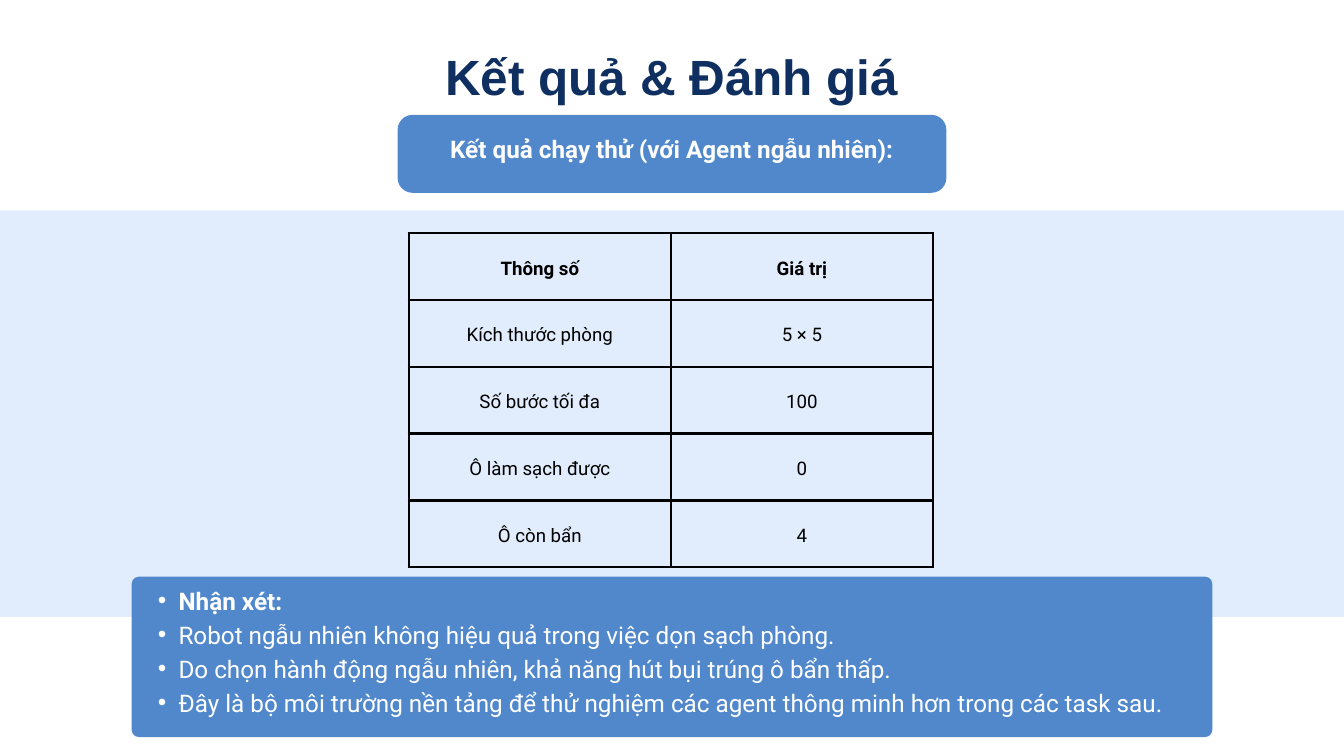
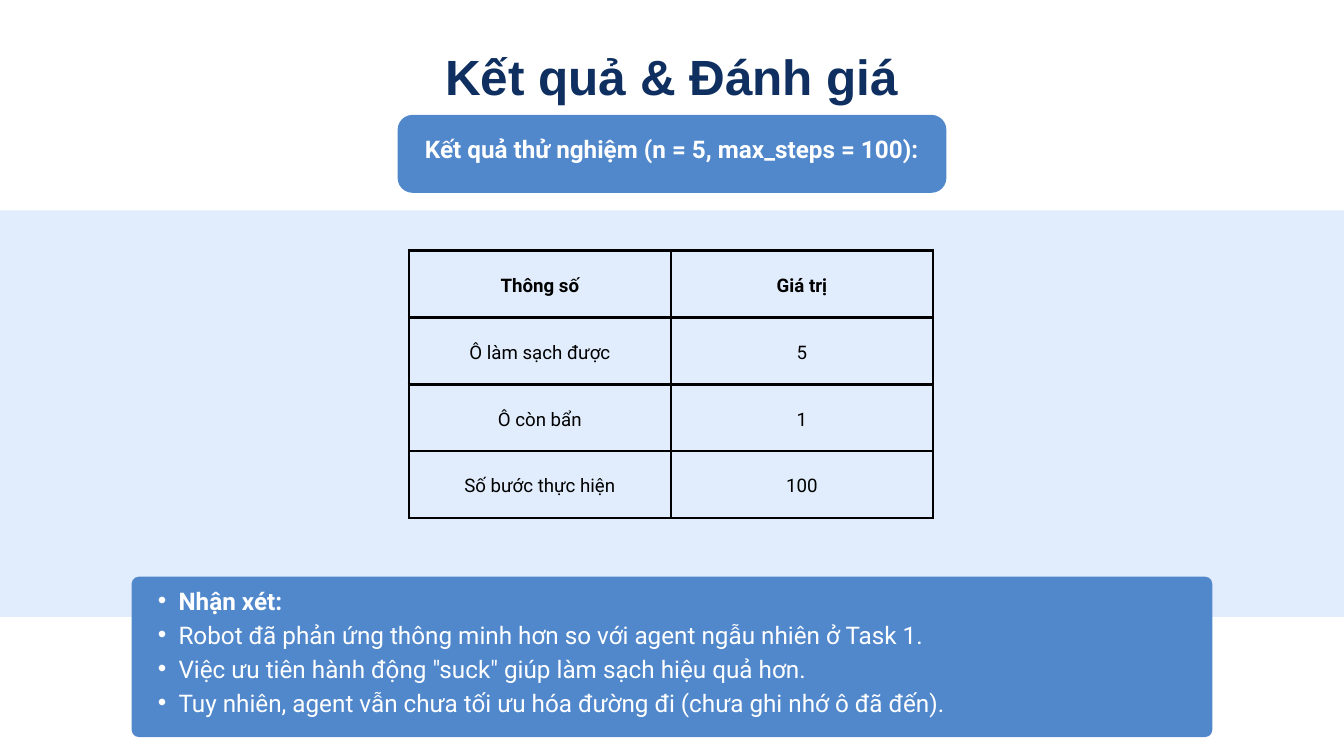
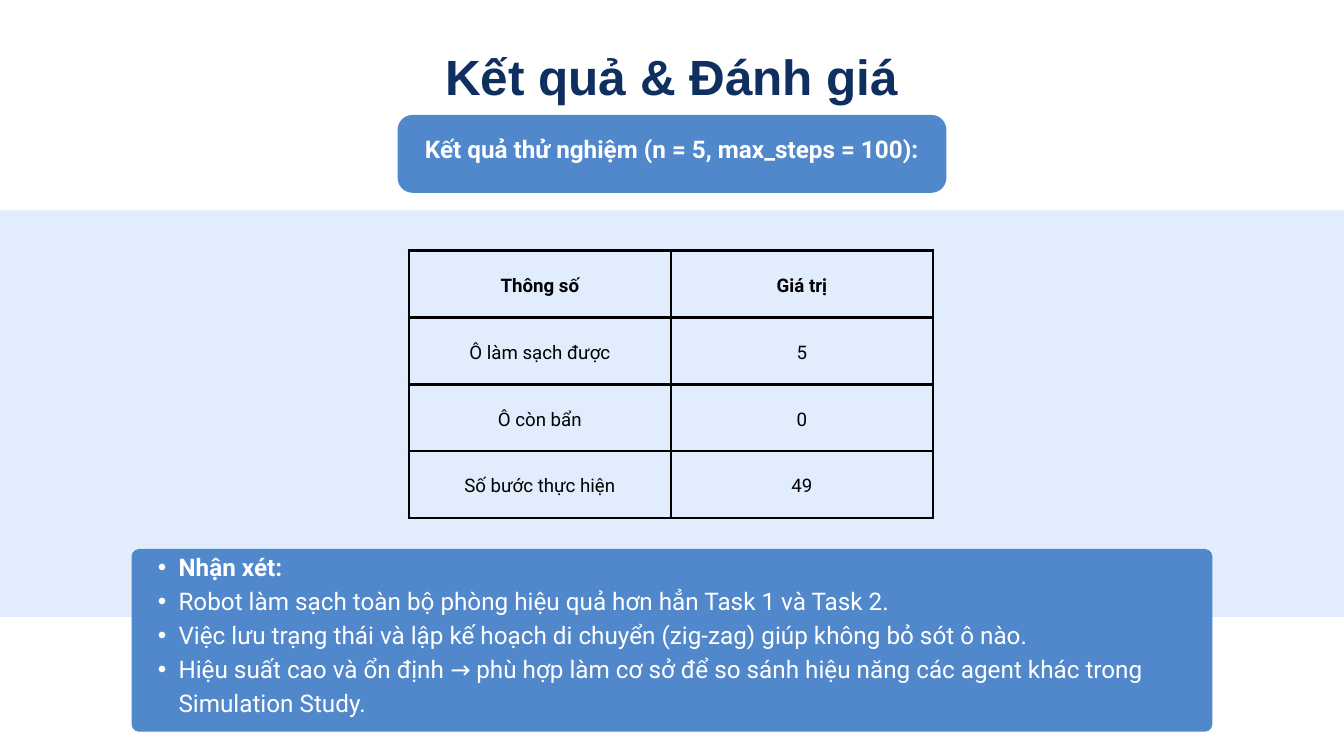
from lxml import etree
from pptx import Presentation
from pptx.dml.color import RGBColor
from pptx.enum.shapes import MSO_SHAPE
from pptx.enum.text import MSO_ANCHOR, MSO_AUTO_SIZE, PP_ALIGN
from pptx.oxml.ns import qn
from pptx.util import Pt

RECTANGLE = MSO_SHAPE.RECTANGLE
ROUNDED = MSO_SHAPE.ROUNDED_RECTANGLE
MIDDLE = MSO_ANCHOR.MIDDLE
TOP = MSO_ANCHOR.TOP
NO_AUTOFIT = MSO_AUTO_SIZE.NONE
CENTER = PP_ALIGN.CENTER
LEFT = PP_ALIGN.LEFT

NAVY = RGBColor(0x0E, 0x2F, 0x5F)
BLUE = RGBColor(0x51, 0x88, 0xCC)
PALE = RGBColor(0xE1, 0xED, 0xFC)
WHITE = RGBColor(0xFF, 0xFF, 0xFF)
BLACK = RGBColor(0, 0, 0)

SLIDE_WIDTH = 1440
TITLE = "Kết quả & Đánh giá"
HEADER = ("Thông số", "Giá trị")
ROW_HEIGHT = 71.6
COLUMN_WIDTH = 280.8
CELL_MARGIN = Pt(15)
BORDER_WIDTH = Pt(3)

RESULTS = [
    {
        "heading": "Kết quả chạy thử (với Agent ngẫu nhiên):",
        "table_top": 249.8,
        "rows": [("Kích thước phòng", "5 × 5"), ("Số bước tối đa", "100"),
                 ("Ô làm sạch được", "0"), ("Ô còn bẩn", "4")],
        "remarks_top": 617.8,
        "remarks_height": 172,
        "remarks": [
            "Robot ngẫu nhiên không hiệu quả trong việc dọn sạch phòng.",
            "Do chọn hành động ngẫu nhiên, khả năng hút bụi trúng ô bẩn thấp.",
            "Đây là bộ môi trường nền tảng để thử nghiệm các agent thông minh hơn trong các task sau.",
        ],
    },
    {
        "heading": "Kết quả thử nghiệm (n = 5, max_steps = 100):",
        "table_top": 268.6,
        "rows": [("Ô làm sạch được", "5"), ("Ô còn bẩn", "1"), ("Số bước thực hiện", "100")],
        "remarks_top": 617.8,
        "remarks_height": 172,
        "remarks": [
            "Robot đã phản ứng thông minh hơn so với agent ngẫu nhiên ở Task 1.",
            "Việc ưu tiên hành động \"suck\" giúp làm sạch hiệu quả hơn.",
            "Tuy nhiên, agent vẫn chưa tối ưu hóa đường đi (chưa ghi nhớ ô đã đến).",
        ],
    },
    {
        "heading": "Kết quả thử nghiệm (n = 5, max_steps = 100):",
        "table_top": 268.6,
        "rows": [("Ô làm sạch được", "5"), ("Ô còn bẩn", "0"), ("Số bước thực hiện", "49")],
        "remarks_top": 588.2,
        "remarks_height": 195.8,
        "remarks": [
            "Robot làm sạch toàn bộ phòng hiệu quả hơn hẳn Task 1 và Task 2.",
            "Việc lưu trạng thái và lập kế hoạch di chuyển (zig-zag) giúp không bỏ sót ô nào.",
            "Hiệu suất cao và ổn định → phù hợp làm cơ sở để so sánh hiệu năng các agent khác trong Simulation Study.",
        ],
    },
]


def add_panel(slide, kind, top, width, height, color, radius=0):
    panel = slide.shapes.add_shape(
        kind, Pt((SLIDE_WIDTH - width) / 2), Pt(top), Pt(width), Pt(height))
    panel.shadow.inherit = False
    panel.fill.solid()
    panel.fill.fore_color.rgb = color
    panel.line.fill.background()
    if radius:
        panel.adjustments[0] = radius / height
    frame = panel.text_frame
    frame.word_wrap = True
    frame.vertical_anchor = MIDDLE
    frame.margin_left = frame.margin_right = Pt(4)
    frame.margin_top, frame.margin_bottom = 0, Pt(16.8)
    return frame


def style_paragraph(paragraph, size, color, spacing, bold=True, name="Roboto", align=CENTER):
    paragraph.alignment = align
    paragraph.line_spacing = Pt(spacing)
    paragraph.font.name = name
    paragraph.font.size = Pt(size)
    paragraph.font.bold = bold
    paragraph.font.color.rgb = color


prs = Presentation()
prs.slide_width = Pt(SLIDE_WIDTH)
prs.slide_height = Pt(810)

for result in RESULTS:
    slide = prs.slides.add_slide(prs.slide_layouts[5])

    title = slide.shapes.title
    title.left, title.top, title.width, title.height = Pt(409.7), Pt(46), Pt(620.6), Pt(74)
    title_frame = title.text_frame
    title_frame.auto_size = NO_AUTOFIT
    title_frame.vertical_anchor = TOP
    title_frame.margin_left = title_frame.margin_right = 0
    title_frame.margin_top = title_frame.margin_bottom = 0
    title_frame.text = TITLE
    style_paragraph(title_frame.paragraphs[0], 53, NAVY, 67.3, name="Arial")

    add_panel(slide, RECTANGLE, 225.4, SLIDE_WIDTH, 435.6, PALE)

    heading = add_panel(slide, ROUNDED, 123.1, 588, 83.5, BLUE, radius=16)
    heading.text = result["heading"]
    style_paragraph(heading.paragraphs[0], 26, WHITE, 36.4)

    rows = [HEADER] + result["rows"]
    table = slide.shapes.add_table(
        len(rows), 2, Pt(438), Pt(result["table_top"]),
        Pt(2 * COLUMN_WIDTH), Pt(ROW_HEIGHT * len(rows))).table
    table.first_row = False
    table.horz_banding = False
    for column in table.columns:
        column.width = Pt(COLUMN_WIDTH)
    for row_index, values in enumerate(rows):
        table.rows[row_index].height = Pt(ROW_HEIGHT)
        for column_index, value in enumerate(values):
            cell = table.cell(row_index, column_index)
            cell.text = value
            cell.vertical_anchor = MIDDLE
            cell.margin_left = cell.margin_right = CELL_MARGIN
            cell.margin_top = cell.margin_bottom = CELL_MARGIN
            properties = cell._tc.get_or_add_tcPr()
            for side in ("a:lnL", "a:lnR", "a:lnT", "a:lnB"):
                border = etree.SubElement(properties, qn(side), w=str(BORDER_WIDTH))
                border_fill = etree.SubElement(border, qn("a:solidFill"))
                etree.SubElement(border_fill, qn("a:srgbClr"), val=str(BLACK))
            cell.fill.background()
            style_paragraph(cell.text_frame.paragraphs[0], 20, BLACK, 28, bold=row_index == 0)

    remarks = add_panel(slide, ROUNDED, result["remarks_top"], 1158,
                        result["remarks_height"], BLUE, radius=8)
    remarks.text = "\n".join(["Nhận xét:"] + result["remarks"])
    for index, remark in enumerate(remarks.paragraphs):
        bullet = remark._p.get_or_add_pPr()
        bullet.set("marL", str(Pt(44)))
        bullet.set("indent", str(Pt(-22)))
        etree.SubElement(bullet, qn("a:buFont"), typeface="Arial")
        etree.SubElement(bullet, qn("a:buChar"), char="•")
        style_paragraph(remark, 26, WHITE, 36.4, bold=index == 0, align=LEFT)

prs.save("out.pptx")
